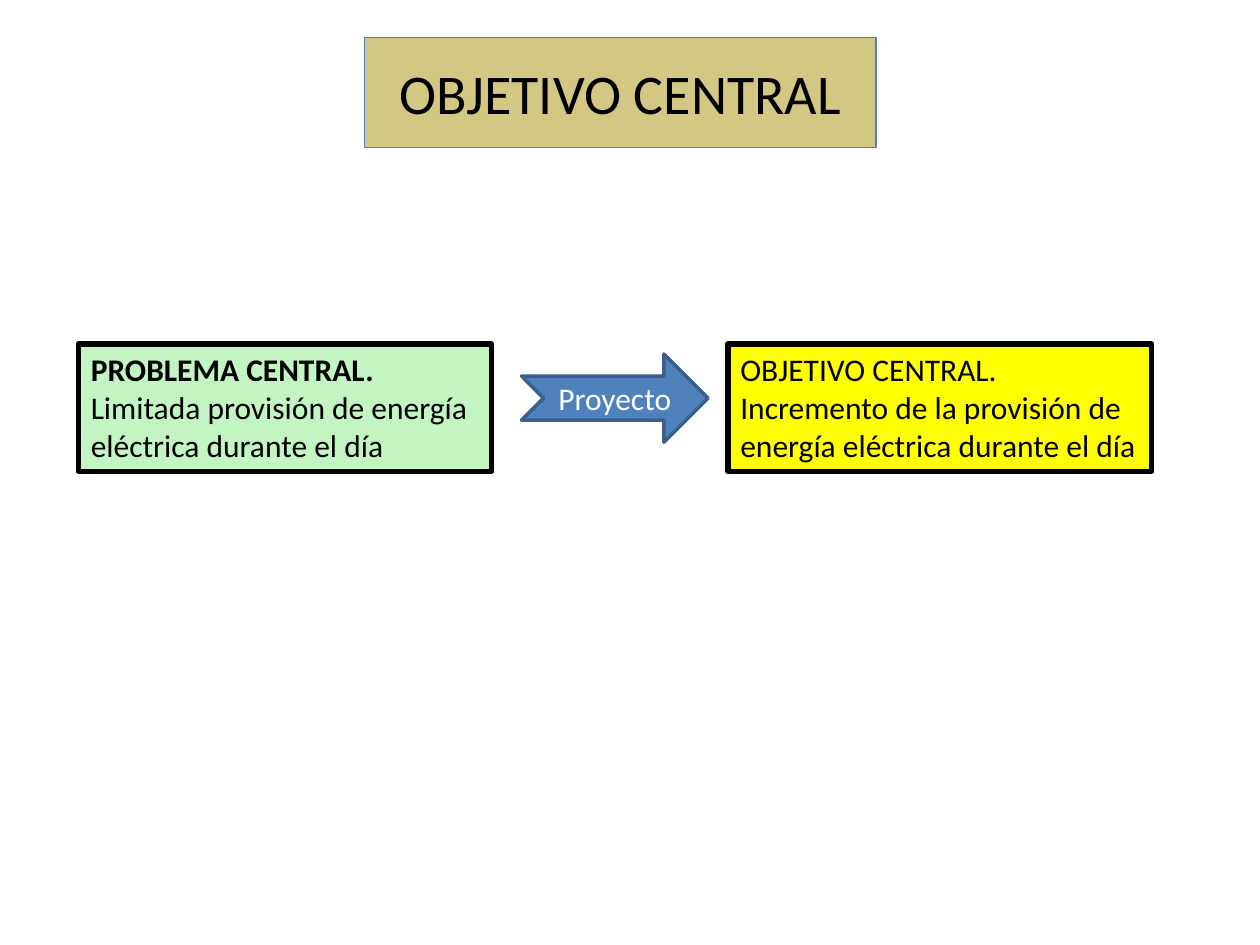
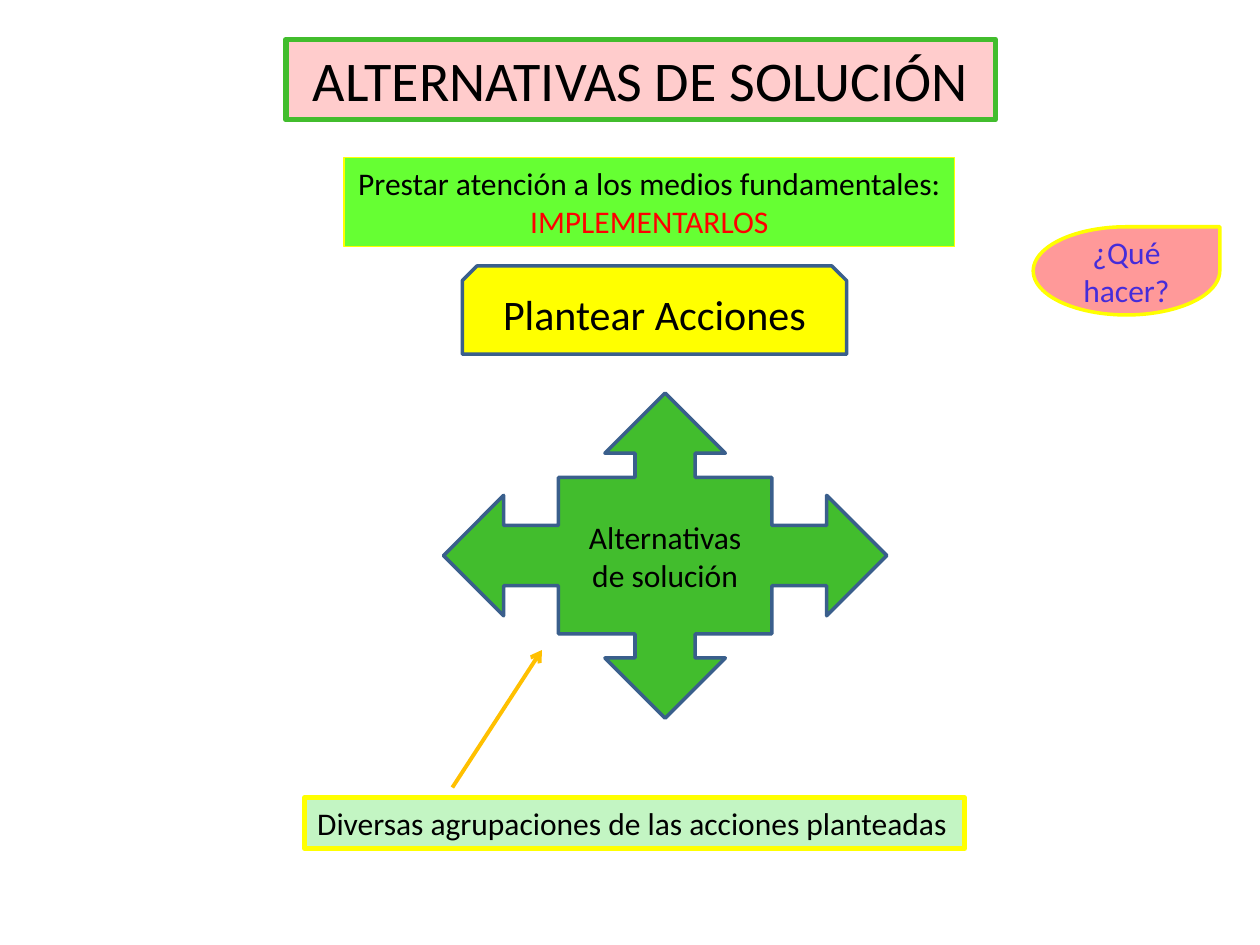
from dataclasses import dataclass

from lxml.etree import SubElement
from pptx import Presentation
from pptx.dml.color import RGBColor
from pptx.enum.shapes import MSO_CONNECTOR, MSO_SHAPE
from pptx.enum.text import MSO_ANCHOR, PP_ALIGN
from pptx.oxml.ns import qn
from pptx.util import Pt


@dataclass(frozen=True)
class Theme:
    font: str = "Calibri"
    title_size: int = 32
    action_size: int = 24
    body_size: int = 18
    black: str = "000000"
    white: str = "FFFFFF"
    red: str = "FF0000"
    violet: str = "452CDA"
    sand: str = "D3C883"
    mint: str = "C3F5C3"
    yellow: str = "FFFF00"
    blue: str = "4F81BD"
    navy: str = "3A5F8C"
    pink: str = "FFCCCC"
    salmon: str = "FF9999"
    green: str = "42BD2D"
    lime: str = "66FF33"
    amber: str = "FFC000"
    hairline: float = 0.75
    outline: float = 2
    arrow_line: float = 2.25
    frame: float = 3


theme = Theme()


def color(value):
    return RGBColor.from_string(value)


def add_box(page, kind, place, fill, line, lines, size=theme.body_size,
            align=PP_ALIGN.CENTER, anchor=MSO_ANCHOR.MIDDLE):
    """Add a filled shape; each line is (text, colour, bold)."""
    box = page.shapes.add_shape(kind, *[Pt(value) for value in place])
    box.shadow.inherit = False
    box.fill.solid()
    box.fill.fore_color.rgb = color(fill)
    line_color, line_width = line
    box.line.color.rgb = color(line_color)
    box.line.width = Pt(line_width)
    frame = box.text_frame
    frame.word_wrap = True
    frame.vertical_anchor = anchor
    for index, (text, text_color, bold) in enumerate(lines):
        para = frame.add_paragraph() if index else frame.paragraphs[0]
        para.alignment = align
        span = para.add_run()
        span.text = text
        span.font.color.rgb = color(text_color)
        formats = {"name": theme.font, "size": Pt(size), "bold": bold}
        for name, value in formats.items():
            setattr(span.font, name, value)


deck = Presentation()
deck.slide_width, deck.slide_height = Pt(720), Pt(540)
blank = deck.slide_layouts[6]
navy_outline = (theme.navy, theme.outline)
yellow_frame = (theme.yellow, theme.frame)

# Slide 1: title
page = deck.slides.add_slide(blank)
add_box(page, MSO_SHAPE.RECTANGLE, (208.3, 21.6, 292.3, 62.6), theme.sand,
        (theme.blue, theme.hairline),
        [("OBJETIVO CENTRAL", theme.black, False)], theme.title_size)

# Slide 1: problem and objective
statements = [
    (44.8, 236.2, theme.mint, "PROBLEMA CENTRAL.", True,
     "Limitada provisión de energía eléctrica durante el día"),
    (416, 242.2, theme.yellow, "OBJETIVO CENTRAL.", False,
     "Incremento de la provisión de energía eléctrica durante el día"),
]
for left, width, fill, heading, bold, statement in statements:
    add_box(page, MSO_SHAPE.RECTANGLE, (left, 196.6, width, 72.7), fill,
            (theme.black, theme.frame),
            [(heading, theme.black, bold), (statement, theme.black, False)],
            align=PP_ALIGN.LEFT, anchor=MSO_ANCHOR.TOP)

# Slide 1: project arrow
add_box(page, MSO_SHAPE.NOTCHED_RIGHT_ARROW, (298, 202.3, 106.6, 50.4),
        theme.blue, navy_outline, [("Proyecto", theme.white, False)])

# Slide 2: title and reminder
page = deck.slides.add_slide(blank)
add_box(page, MSO_SHAPE.RECTANGLE, (163.4, 22.5, 405.4, 46), theme.pink,
        (theme.green, theme.frame),
        [("ALTERNATIVAS DE SOLUCIÓN", theme.black, False)],
        theme.title_size, anchor=MSO_ANCHOR.TOP)
add_box(page, MSO_SHAPE.RECTANGLE, (196.6, 90, 349, 51), theme.lime,
        (theme.yellow, theme.hairline),
        [("Prestar atención a los medios fundamentales:", theme.black, False),
         ("IMPLEMENTARLOS", theme.red, False)], anchor=MSO_ANCHOR.TOP)

# Slide 2: actions and alternatives
add_box(page, MSO_SHAPE.SNIP_2_SAME_RECTANGLE, (264.2, 152, 219.6, 50.4),
        theme.yellow, navy_outline,
        [("Plantear Acciones", theme.black, False)], theme.action_size)
add_box(page, MSO_SHAPE.QUAD_ARROW_CALLOUT, (253.4, 224.6, 253.4, 185.8),
        theme.green, navy_outline,
        [("Alternativas de solución", theme.black, False)])

# Slide 2: explanation and its arrow
add_box(page, MSO_SHAPE.RECTANGLE, (174.2, 455.8, 377, 29), theme.mint,
        yellow_frame,
        [("Diversas agrupaciones de las acciones planteadas",
          theme.black, False)],
        align=PP_ALIGN.LEFT, anchor=MSO_ANCHOR.TOP)
arrow = page.shapes.add_connector(
    MSO_CONNECTOR.STRAIGHT, Pt(258.5), Pt(450), Pt(309.6), Pt(371.5))
arrow.line.color.rgb = color(theme.amber)
arrow.line.width = Pt(theme.arrow_line)
SubElement(arrow.line._get_or_add_ln(), qn("a:tailEnd"), type="arrow")
SubElement(arrow._element.spPr, qn("a:effectLst"))

# Slide 2: question
add_box(page, MSO_SHAPE.TEAR, (590.4, 129.6, 106.6, 50.4), theme.salmon,
        (theme.yellow, theme.outline), [("¿Qué hacer?", theme.violet, False)])

deck.save("out.pptx")
